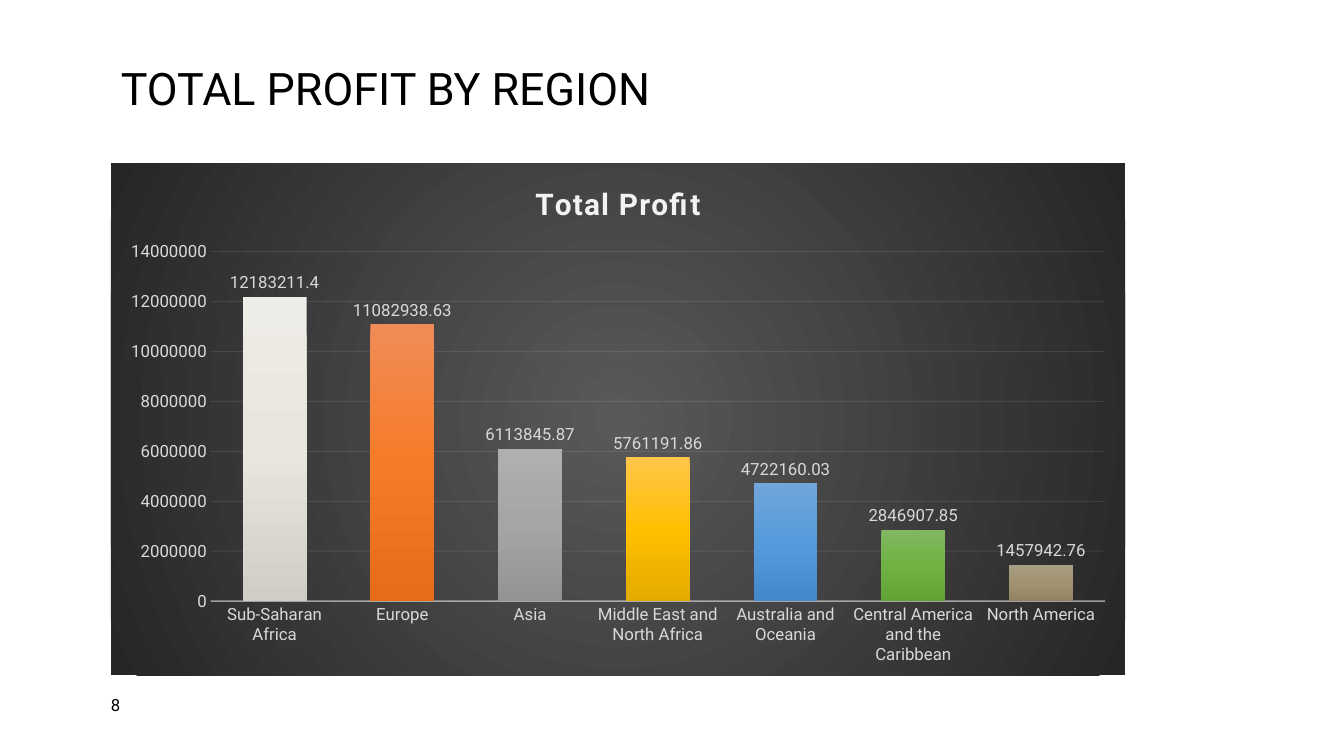
from dataclasses import dataclass

from lxml import etree
from pptx import Presentation, util as u
from pptx.chart.chart import Chart
from pptx.chart.data import CategoryChartData
from pptx.dml.color import RGBColor
from pptx.dml.line import LineFormat
from pptx.enum import chart as ch, text as tx
from pptx.oxml import parse_xml
from pptx.oxml.ns import nsdecls, qn
from pptx.slide import Slide
from pptx.text.text import Font


@dataclass(frozen=True)
class Theme:
    font: str = "Roboto"
    ink: str = "000000"
    chart_title: str = "F2F2F2"
    chart_text: str = "D9D9D9"
    chart_line: str = "F2F2F2"
    backdrop: tuple[str, ...] = ("595959", "262626")
    heading_size: float = 32
    chart_title_size: float = 21.3
    body_size: float = 12
    chart_base_size: float = 10


@dataclass(frozen=True)
class Region:
    name: str
    profit: float
    gradient: tuple[str, str, str]


@dataclass(frozen=True)
class Box:
    left: float
    top: float
    width: float
    height: float

    def lengths(self) -> tuple[u.Length, ...]:
        return tuple(u.Inches(v) for v in (self.left, self.top, self.width, self.height))


THEME = Theme()
REGIONS = (
    Region("Sub-Saharan Africa", 12183211.4, ("EEECE6", "E9E6DE", "D0CDC5")),
    Region("Europe", 11082938.63, ("F18C57", "F67B28", "E56C19")),
    Region("Asia", 6113845.87, ("AFAFAF", "A5A5A5", "939393")),
    Region("Middle East and North Africa", 5761191.86, ("FFC64B", "FFC000", "E3AB00")),
    Region("Australia and Oceania", 4722160.03, ("71A6DB", "559BDB", "448ACA")),
    Region("Central America and the Caribbean", 2846907.85, ("81B861", "6FB242", "62A336")),
    Region("North America", 1457942.76, ("A99E84", "A19271", "918362")),
)
DOWNWARD = '<a:lin ang="5400000" scaled="0"/>'
FROM_CENTRE = ('<a:path path="circle">'
               '<a:fillToRect l="50000" t="50000" r="50000" b="50000"/></a:path>')


def style_font(font: Font, size: float, color: str, bold: bool = False) -> None:
    font.name = THEME.font
    font.size = u.Pt(size)
    font.bold = bold
    font.color.rgb = RGBColor.from_string(color)


def add_text(slide: Slide, box: Box, words: str, size: float, spacing: float = 1) -> None:
    frame = slide.shapes.add_textbox(*box.lengths()).text_frame
    frame.word_wrap = True
    frame.vertical_anchor = tx.MSO_ANCHOR.MIDDLE
    paragraph = frame.paragraphs[0]
    paragraph.line_spacing = spacing
    run = paragraph.add_run()
    run.text = words
    style_font(run.font, size, THEME.ink)


def gradient_fill(colors: tuple[str, ...], direction: str) -> etree._Element:
    """Return a gradient with evenly spaced stops."""
    step = 100000 // (len(colors) - 1)
    stops = "".join(f'<a:gs pos="{i * step}"><a:srgbClr val="{color}"/></a:gs>'
                    for i, color in enumerate(colors))
    return parse_xml(f'<a:gradFill {nsdecls("a")} rotWithShape="1">'
                     f'<a:gsLst>{stops}</a:gsLst>{direction}</a:gradFill>')


def style_line(chart: Chart, line: LineFormat, owner: str, width: float, opacity: int) -> None:
    """Colour a line and make it translucent; owner is its parent's XML tag."""
    line.width = u.Pt(width)
    line.color.rgb = RGBColor.from_string(THEME.chart_line)
    color = chart.element.xpath(f".//{owner}/c:spPr/a:ln//a:srgbClr")[0]
    etree.SubElement(color, qn("a:alpha")).set("val", str(opacity * 1000))


def style_title(chart: Chart) -> None:
    chart.has_title = True
    run = chart.chart_title.text_frame.paragraphs[0].add_run()
    run.text = "Total Profit"
    style_font(run.font, THEME.chart_title_size, THEME.chart_title, bold=True)
    chart.element.xpath(".//c:title//a:r/a:rPr")[0].set("spc", "100")
    chart.chart_title.include_in_layout = False


def style_axes(chart: Chart) -> None:
    for axis in (chart.category_axis, chart.value_axis):
        axis.major_tick_mark = axis.minor_tick_mark = ch.XL_TICK_MARK.NONE
        style_font(axis.tick_labels.font, THEME.body_size, THEME.chart_text)
    profit_axis = chart.value_axis
    profit_axis.minimum_scale, profit_axis.maximum_scale = 0, 14_000_000
    profit_axis.major_unit = 2_000_000
    profit_axis.format.line.fill.background()
    style_line(chart, chart.category_axis.format.line, "c:catAx", 1, 54)
    style_line(chart, profit_axis.major_gridlines.format.line, "c:majorGridlines", 0.75, 10)


def style_columns(chart: Chart) -> None:
    plot = chart.plots[0]
    plot.gap_width, plot.overlap = 100, -24
    plot.vary_by_categories = False
    plot.has_data_labels = True
    labels = plot.data_labels
    labels.show_value = True
    labels.position = ch.XL_LABEL_POSITION.OUTSIDE_END
    style_font(labels.font, THEME.body_size, THEME.chart_text)
    for index, region in enumerate(REGIONS):
        plot.series[0].points[index].format.fill.background()
        empty_fill = chart.element.xpath(f'.//c:dPt[c:idx/@val="{index}"]/c:spPr/a:noFill')[0]
        empty_fill.getparent().replace(empty_fill, gradient_fill(region.gradient, DOWNWARD))


def fill_backdrop(chart: Chart) -> None:
    backdrop = parse_xml(f'<c:spPr {nsdecls("c", "a")}><a:ln><a:noFill/></a:ln></c:spPr>')
    backdrop.insert(0, gradient_fill(THEME.backdrop, FROM_CENTRE))
    chart.element.find(qn("c:chart")).addnext(backdrop)


def add_profit_chart(slide: Slide, box: Box) -> None:
    profits = CategoryChartData()
    profits.categories = [region.name for region in REGIONS]
    profits.add_series("Total Profit", [region.profit for region in REGIONS])
    chart = slide.shapes.add_chart(
        ch.XL_CHART_TYPE.COLUMN_CLUSTERED, *box.lengths(), profits).chart
    style_font(chart.font, THEME.chart_base_size, THEME.ink)
    chart.has_legend = False
    style_title(chart)
    style_axes(chart)
    style_columns(chart)
    fill_backdrop(chart)


def main() -> None:
    deck = Presentation()
    deck.slide_width, deck.slide_height = u.Inches(13.33), u.Inches(7.5)
    slide = deck.slides.add_slide(deck.slide_layouts[6])
    add_text(slide, Box(1.1, 0, 11.33, 1.81), "TOTAL PROFIT BY REGION",
             THEME.heading_size, spacing=0.9)
    add_text(slide, Box(1, 6.83, 0.69, 0.32), "8", THEME.body_size)
    add_profit_chart(slide, Box(1.1, 1.62, 10.06, 5.08))
    deck.save("out.pptx")


if __name__ == "__main__":
    main()
